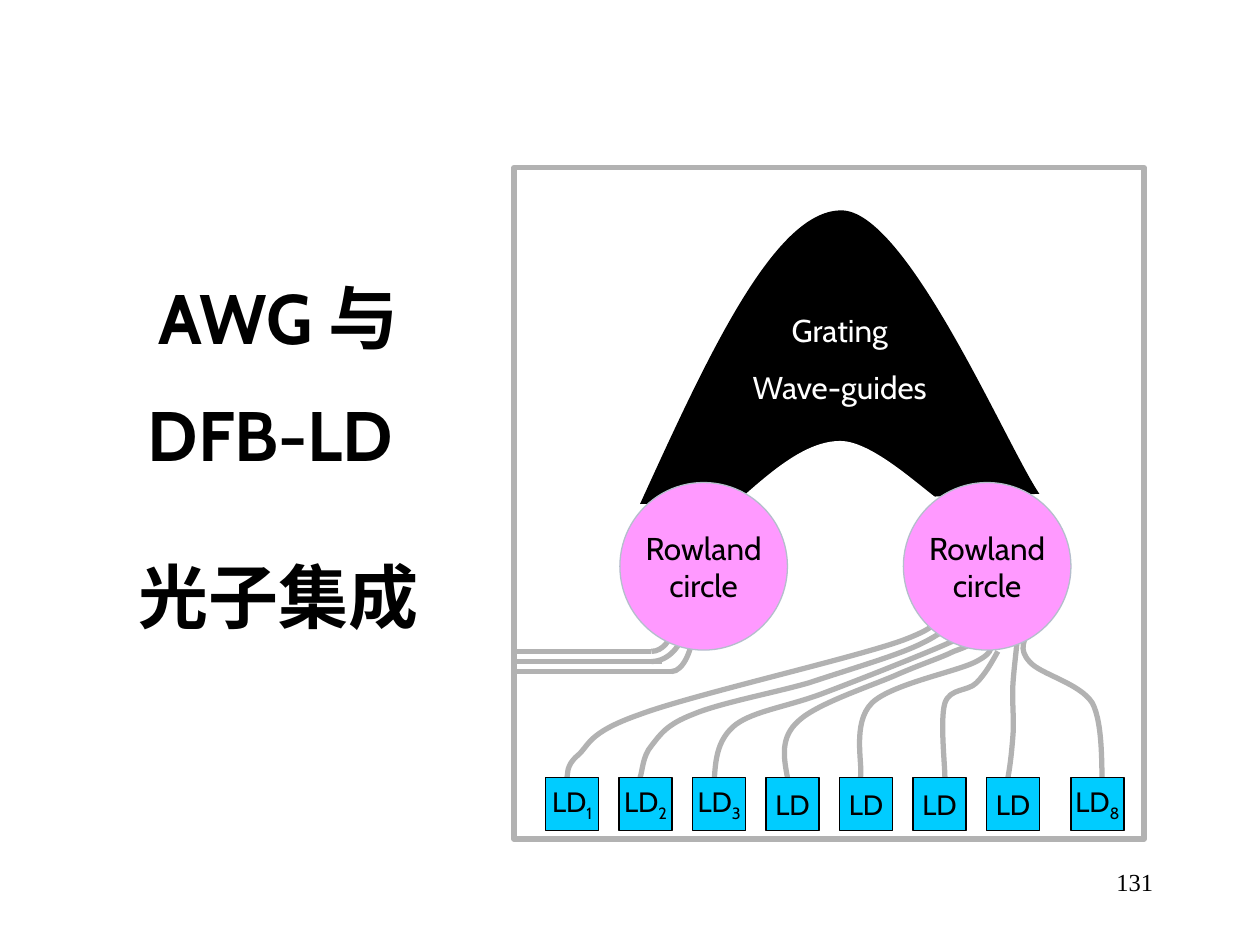
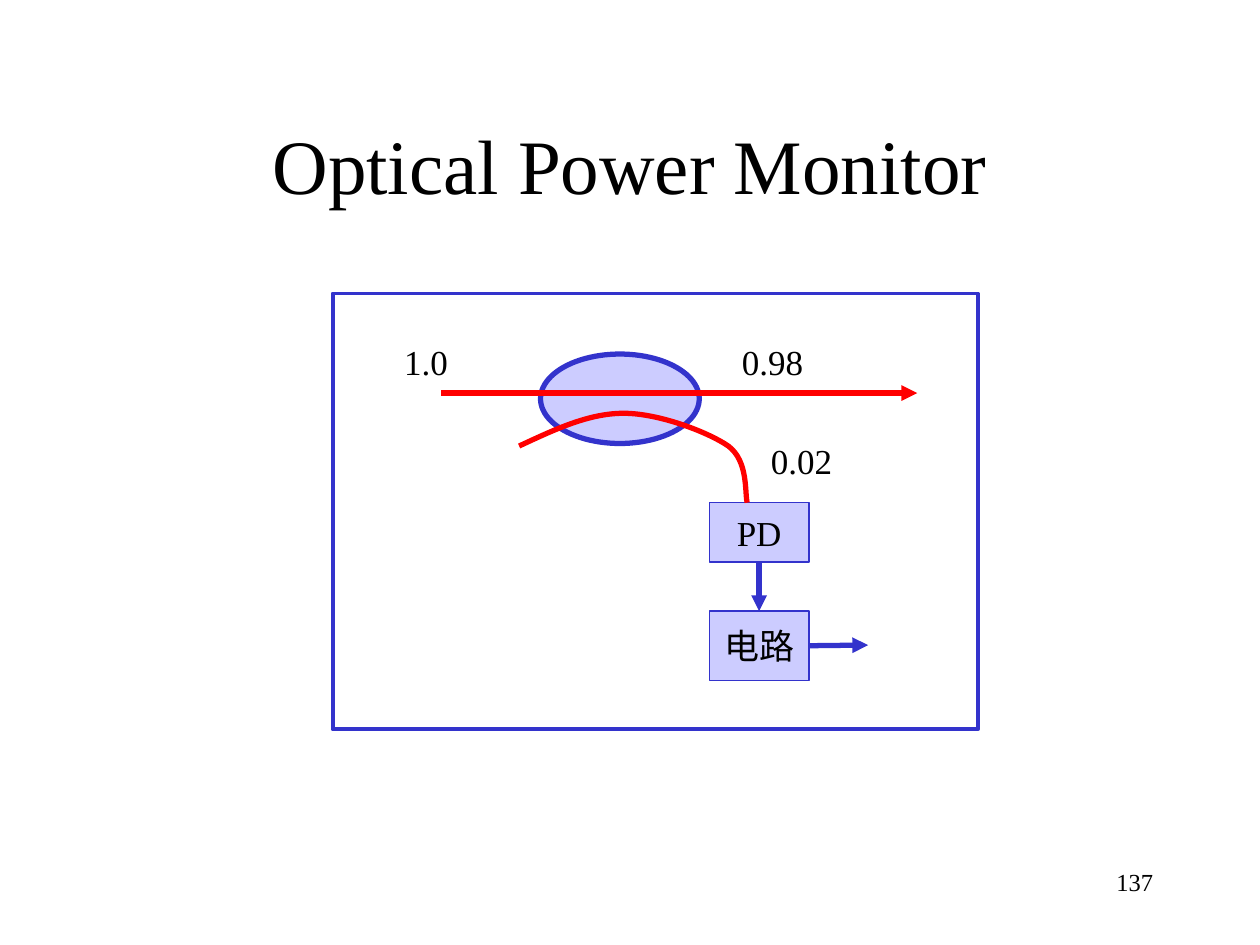
"""Build two slides on photonic integration and optical power monitoring."""
from dataclasses import dataclass

from lxml.etree import SubElement
from pptx import Presentation
from pptx.dml.color import RGBColor
from pptx.enum.shapes import MSO_CONNECTOR, MSO_SHAPE
from pptx.enum.text import MSO_ANCHOR, PP_ALIGN
from pptx.oxml.ns import qn
from pptx.util import Inches, Pt


@dataclass(frozen=True)
class Theme:
    black: str = "000000"
    white: str = "FFFFFF"
    gray: str = "B2B2B2"
    cyan: str = "00CCFF"
    pink: str = "FF99FF"
    rim: str = "B4BECC"
    blue: str = "3333CC"
    pale: str = "CCCCFF"
    red: str = "FF0000"
    sans: str = "Cabin"
    serif: str = "Times New Roman"
    title: int = 44
    head: int = 40
    label: int = 20
    note: int = 18
    chip: int = 16
    foot: int = 14
    thin: float = 0.75
    frame: float = 2.25
    thick: int = 3


T = Theme()


def block(page, kind, spot, paras=(), font=T.serif, size=T.label, ink=T.black,
          fill=None, edge=None, width=T.thin, bold=False, gap=0, lead=None,
          align=PP_ALIGN.CENTER, anchor=MSO_ANCHOR.MIDDLE):
    place = [Inches(v) for v in spot]
    if kind is None:
        shape = page.shapes.add_textbox(*place)
    else:
        shape = page.shapes.add_shape(kind, *place)
        shape.shadow.inherit = False
        if fill:
            shape.fill.solid()
            shape.fill.fore_color.rgb = RGBColor.from_string(fill)
        else:
            shape.fill.background()
        shape.line.color.rgb = RGBColor.from_string(edge)
        shape.line.width = Pt(width)
    frame = shape.text_frame
    frame.word_wrap = kind is None
    frame.vertical_anchor = anchor
    for i, parts in enumerate(paras):
        para = frame.add_paragraph() if i else frame.paragraphs[0]
        para.alignment = align
        if lead:
            para.line_spacing = lead
        if i and gap:
            para.space_before = Pt(gap)
        for j, text in enumerate(parts):
            run = para.add_run()
            run.text = text
            run.font.name, run.font.size, run.font.bold = font, Pt(size), bold
            run.font.color.rgb = RGBColor.from_string(ink)
            if j:
                run.font._element.set("baseline", "-25000")
    return shape


def stroke(page, points, edge=None, fill=None, arrow=False):
    spots = [(Inches(x), Inches(y)) for x, y in points]
    if len(spots) == 2:
        shape = page.shapes.add_connector(MSO_CONNECTOR.STRAIGHT, *spots[0], *spots[1])
    else:
        pen = page.shapes.build_freeform(*spots[0], scale=1.0)
        pen.add_line_segments(spots[1:], close=False)
        shape = pen.convert_to_shape()
        trail = shape._element.find(".//" + qn("a:path"))
        steps = trail.findall(qn("a:lnTo"))
        for i in range(0, len(steps), 3):
            curve = SubElement(trail, qn("a:cubicBezTo"))
            for step in steps[i:i + 3]:
                curve.append(step[0])
                trail.remove(step)
        if fill:
            shape.fill.solid()
            shape.fill.fore_color.rgb = RGBColor.from_string(fill)
        else:
            shape.fill.background()
    if edge:
        shape.line.color.rgb = RGBColor.from_string(edge)
        shape.line.width = Pt(T.thick)
    else:
        shape.line.fill.background()
    if arrow:
        SubElement(shape.line._get_or_add_ln(), qn("a:tailEnd"), type="triangle")
    SubElement(shape._element.spPr, qn("a:effectLst"))
    return shape


deck = Presentation()
deck.slide_width, deck.slide_height = Inches(10), Inches(7.5)
pages = []
for num in ("131", "137"):
    page = deck.slides.add_slide(deck.slide_layouts[6])
    block(page, None, (7.17, 6.83, 2.08, 0.5), [[num]], size=T.foot,
          align=PP_ALIGN.RIGHT, anchor=MSO_ANCHOR.TOP)
    pages.append(page)
chip, power = pages

block(chip, MSO_SHAPE.RECTANGLE, (4.08, 1.33, 5, 5.33), edge=T.gray, width=T.thick)
stroke(chip, [(5.08, 4), (5.61, 2.84), (6.14, 1.68), (6.67, 1.67),
              (7.19, 1.65), (7.99, 3.54), (8.25, 3.92)], fill=T.black)
stroke(chip, [(5.83, 4), (6.11, 3.75), (6.39, 3.5), (6.67, 3.5),
              (6.94, 3.5), (7.36, 3.92), (7.5, 4)], fill=T.white)

for end, y, bend, tip in ((5.17, 5.17, 5.17, 5.33), (5.25, 5.25, 5.17, 5.42),
                          (5.33, 5.33, 5.33, 5.5)):
    stroke(chip, [(4.08, y), (end, y)], T.gray)
    wide, tall = 0.55 * (tip - bend), 0.45 * (y - 5)
    stroke(chip, [(bend, y), (bend + wide, y), (tip, 5 + tall), (tip, 5)], T.gray)

guides = (
    [(7.33, 4.83), (7.44, 4.89), (7.54, 4.94), (7.17, 5.08),
     (6.79, 5.22), (5.51, 5.51), (5.08, 5.67), (4.65, 5.82), (4.68, 5.92), (4.58, 6),
     (4.49, 6.08), (4.51, 6.14), (4.5, 6.17)],
    [(7.5, 5), (7.42, 5.05), (7.35, 5.1), (7.17, 5.17),
     (6.99, 5.24), (6.69, 5.33), (6.42, 5.42), (6.14, 5.5), (5.71, 5.58), (5.5, 5.67),
     (5.29, 5.75), (5.24, 5.83), (5.17, 5.92), (5.1, 6), (5.1, 6.12), (5.08, 6.17)],
    [(5.67, 6.17), (5.68, 6.01), (5.7, 5.86), (5.84, 5.75),
     (5.99, 5.64), (6.25, 5.61), (6.54, 5.5), (6.83, 5.39), (7.39, 5.17), (7.58, 5.08)],
    [(6.25, 6.17), (6.22, 6.01), (6.19, 5.85), (6.34, 5.72),
     (6.49, 5.58), (6.93, 5.44), (7.13, 5.35), (7.34, 5.26), (7.47, 5.22), (7.57, 5.17),
     (7.68, 5.13), (7.72, 5.11), (7.75, 5.08)],
    [(7.83, 5.08), (7.87, 5.13), (7.9, 5.17), (7.75, 5.25),
     (7.6, 5.33), (7.07, 5.43), (6.92, 5.58), (6.76, 5.74), (6.85, 6.07), (6.83, 6.17)],
    [(7.92, 5.17), (7.87, 5.26), (7.82, 5.35), (7.75, 5.42),
     (7.68, 5.49), (7.54, 5.46), (7.5, 5.58), (7.46, 5.71), (7.5, 6.07), (7.5, 6.17)],
    [(8.08, 5), (8.07, 5.14), (8.05, 5.28), (8.04, 5.42),
     (8.03, 5.56), (8.05, 5.71), (8.04, 5.83), (8.03, 5.96), (8.02, 6.06), (8, 6.17)],
    [(8.17, 5), (8.13, 5.08), (8.08, 5.15), (8.17, 5.25),
     (8.25, 5.35), (8.57, 5.42), (8.67, 5.58), (8.76, 5.75), (8.74, 6.14), (8.75, 6.25)],
)
for guide in guides:
    stroke(chip, guide, T.gray)

for i, sub in enumerate(("1", "2", "3", "", "", "", "", "8")):
    x = 8.5 if sub == "8" else 4.33 + i * 3.5 / 6
    block(chip, MSO_SHAPE.RECTANGLE, (x, 6.17, 0.42, 0.42),
          [["LD", sub] if sub else ["LD"]], T.sans, T.chip, fill=T.cyan, edge=T.black)
for x in (4.92, 7.17):
    block(chip, MSO_SHAPE.OVAL, (x, 3.83, 1.33, 1.33), [["Rowland"], ["circle"]],
          T.sans, T.note, fill=T.pink, edge=T.rim)
block(chip, None, (0.67, 1.86, 3.08, 3.25), [["AWG 与 DFB-LD "], ["光子集成"]],
      T.sans, T.head, bold=True, gap=25, lead=1.4, anchor=MSO_ANCHOR.TOP)
block(chip, None, (5.83, 2.42, 1.67, 1.16), [["Grating"], ["Wave-guides"]],
      T.sans, T.note, T.white, gap=11.2, anchor=MSO_ANCHOR.TOP)

block(power, None, (0.75, 0.67, 8.5, 1.25), [["Optical Power Monitor"]], size=T.title)
block(power, MSO_SHAPE.RECTANGLE, (2.64, 2.33, 5.12, 3.46), edge=T.blue, width=T.frame)
block(power, MSO_SHAPE.OVAL, (4.29, 2.81, 1.26, 0.71), fill=T.pale, edge=T.blue,
      width=T.thick)
stroke(power, [(3.5, 3.12), (7.28, 3.12)], T.red, arrow=True)
for text, x, y, wide in (("0.98", 5.79, 2.65, 1.02), ("0.02", 6.02, 3.44, 0.95),
                         ("1.0", 3.11, 2.65, 1.1)):
    block(power, None, (x, y, wide, 0.44), [[text]], align=PP_ALIGN.LEFT,
          anchor=MSO_ANCHOR.TOP)
diode, board = [
    block(power, MSO_SHAPE.RECTANGLE, (5.63, y, 0.79, tall), [[text]],
          fill=T.pale, edge=T.blue)
    for text, y, tall in (("PD", 3.99, 0.47), ("电路", 4.85, 0.55))]
link = stroke(power, [(6.02, 4.46), (6.02, 4.85)], T.blue, arrow=True)
link.begin_connect(diode, 2)
link.end_connect(board, 0)
out = stroke(power, [(6.42, 5.12), (6.89, 5.12)], T.blue, arrow=True)
out.begin_connect(board, 3)
stroke(power, [(4.12, 3.54), (4.4, 3.41), (4.67, 3.28), (4.95, 3.28),
               (5.23, 3.28), (5.62, 3.43), (5.78, 3.54),
               (5.94, 3.66), (5.91, 3.91), (5.93, 3.99)], T.red)

deck.save("out.pptx")
